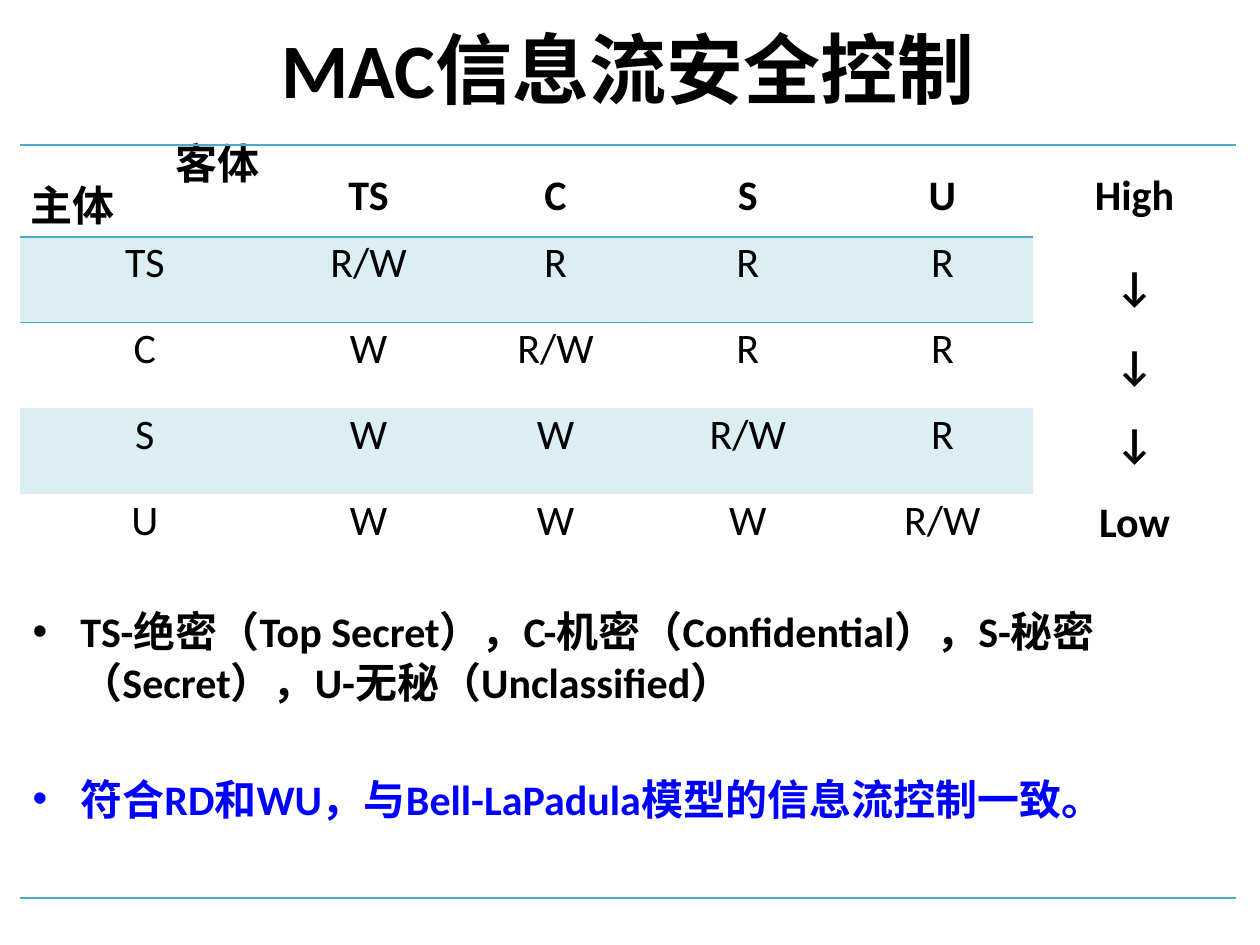
"""Build the slide on information flow control under MAC."""
import pptx
import pptx.util
import pptx.dml.color
import pptx.enum.text
import pptx.oxml
import pptx.oxml.ns
import lxml.etree

Inches = pptx.util.Inches
Pt = pptx.util.Pt
qn = pptx.oxml.ns.qn
ALIGN = pptx.enum.text.PP_ALIGN
ANCHOR = pptx.enum.text.MSO_ANCHOR
TEAL = "4BACC6"


def paint(hue):
    return pptx.dml.color.RGBColor.from_string(hue)


def write(frame, lines, size=24, bold=True, mark=None):
    for n, (text, hue, form) in enumerate(lines):
        para = frame.paragraphs[0] if n == 0 else frame.add_paragraph()
        for key, value in form.items():
            setattr(para, key, value)
        if mark:
            props = para._p.get_or_add_pPr()
            props.set("marL", str(Inches(0.38)))
            props.set("indent", str(-Inches(0.38)))
            face = lxml.etree.SubElement(props, qn("a:buFont"))
            face.set("typeface", "Arial")
            lxml.etree.SubElement(props, qn("a:buChar")).set("char", mark)
        run = para.add_run()
        run.text = text
        for key, value in {"name": "Calibri", "size": Pt(size), "bold": bold}.items():
            setattr(run.font, key, value)
        run.font.color.rgb = paint(hue)


deck = pptx.Presentation()
deck.slide_width, deck.slide_height = Inches(10), Inches(7.5)
slide = deck.slides.add_slide(deck.slide_layouts[6])
left, width = Inches(0.16), Inches(9.65)

title = slide.shapes.add_textbox(left, Inches(0.08), width, Inches(0.92)).text_frame
for key, value in {"word_wrap": True, "vertical_anchor": ANCHOR.MIDDLE}.items():
    setattr(title, key, value)
write(title, [("MAC信息流安全控制", "000000", {"alignment": ALIGN.CENTER})], 44)

levels = ["TS", "C", "S", "U"]
grid = slide.shapes.add_table(5, 6, left, Inches(1.15), width, Inches(3.43)).table
grid.first_row = grid.horz_banding = False
style = grid._tbl.tblPr.find(qn("a:tableStyleId"))
style.text = "{2D5ABB26-0587-4C30-8999-92F81FD0307C}"
for col, wide in zip(grid.columns, [1.98, 1.57, 1.4, 1.65, 1.44, 1.61]):
    col.width = Inches(wide)
for row, high in zip(grid.rows, [0.73] + [0.68] * 4):
    row.height = Inches(high)
grid.cell(0, 5).merge(grid.cell(4, 5))

for r in range(5):
    for c in range(6):
        cell = grid.cell(r, c)
        step = 22 if r == 0 else 15
        form = {"alignment": ALIGN.CENTER, "line_spacing": Pt(step)}
        top = step
        if r == 0 and c == 0:
            top = 18
            lines = [
                ("客体", "000000", {"alignment": ALIGN.RIGHT, "line_spacing": Pt(9)}),
                ("主体", "000000", {"alignment": ALIGN.LEFT, "line_spacing": Pt(9),
                                  "space_before": Pt(15)}),
            ]
        elif c == 5:
            lines = [("High", "000000", form)] if r == 0 else []
            for text, gap in zip(["↓", "↓", "↓", "Low"], [37, 30, 30, 30]):
                if r == 0:
                    lines.append((text, "000000", {**form, "line_spacing": Pt(15),
                                                   "space_before": Pt(gap)}))
        elif r == 0:
            lines = [(levels[c - 1], "000000", form)]
        elif c == 0:
            lines = [(levels[r - 1], "000000", form)]
        else:
            right = "R/W" if r == c else "R" if c > r else "W"
            lines = [(right, "000000", form)]
        sides = {"margin_left": Inches(0.08), "margin_right": Inches(0.08),
                 "margin_top": Pt(top), "margin_bottom": 0}
        for key, value in sides.items():
            setattr(cell, key, value)
        write(cell.text_frame, lines, bold=r == 0)
        props = cell._tc.get_or_add_tcPr()
        edges = {"a:lnT": r == 0 or (r == 1 and c < 5), "a:lnB": r in (0, 4)}
        for tag, shown in edges.items():
            if shown:
                edge = lxml.etree.SubElement(props, qn(tag), w=str(Pt(1)))
                solid = lxml.etree.SubElement(edge, qn("a:solidFill"))
                lxml.etree.SubElement(solid, qn("a:srgbClr"), val=TEAL)
        if r % 2 and c < 5:
            cell.fill.solid()
            cell.fill.fore_color.rgb = paint(TEAL)
            tint = props.find(qn("a:solidFill")).find(qn("a:srgbClr"))
            lxml.etree.SubElement(tint, qn("a:alpha"), val="20000")
        else:
            cell.fill.background()

notes = slide.shapes.add_textbox(left, Inches(4.76), width, Inches(2.37)).text_frame
notes.word_wrap = True
write(notes, [
    ("TS-绝密（Top Secret），C-机密（Confidential），S-秘密（Secret），U-无秘（Unclassified）",
     "000000", {}),
    ("符合RD和WU，与Bell-LaPadula模型的信息流控制一致。", "0000FF", {"space_before": Pt(38)}),
], mark="•")

deck.save("out.pptx")
